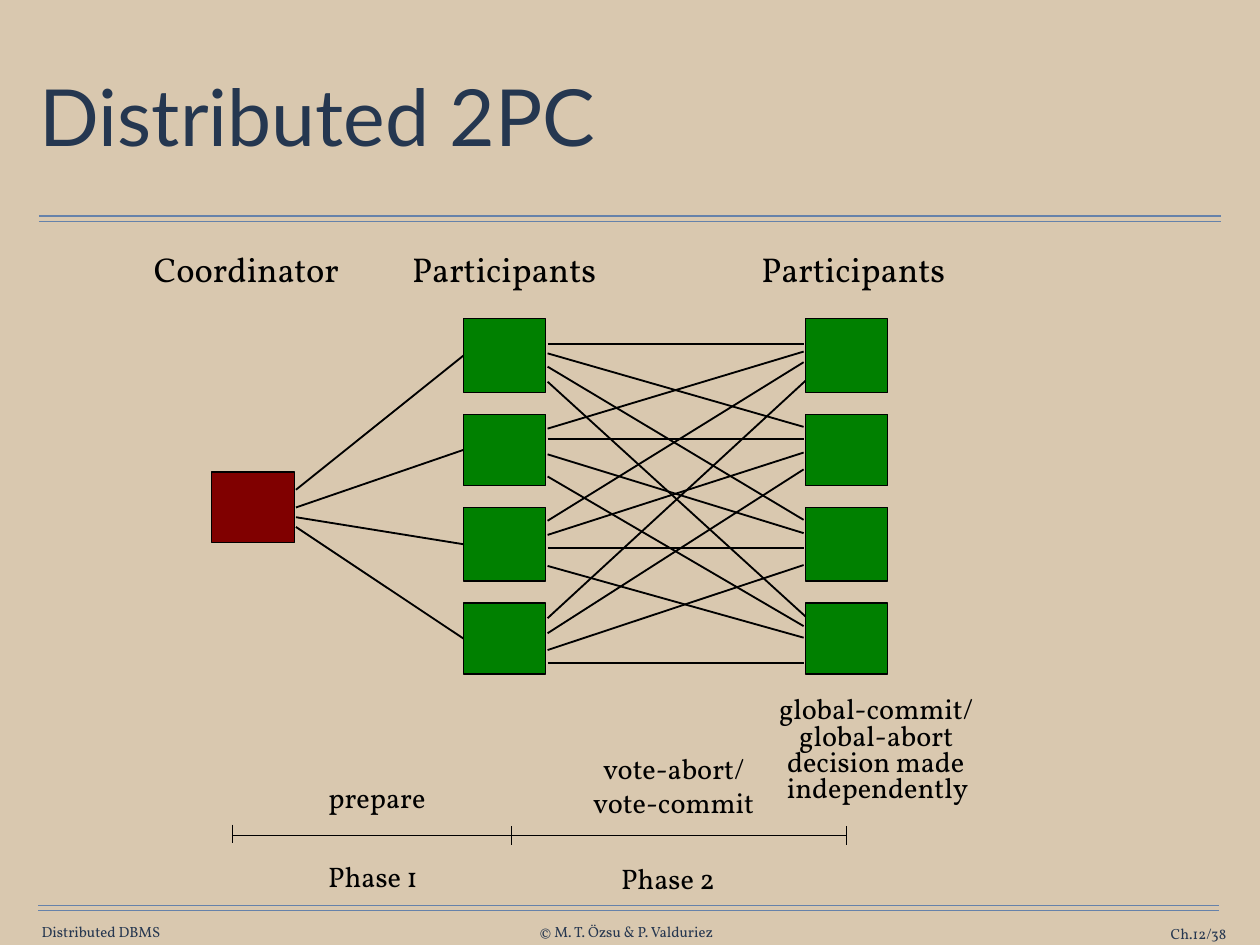
"""Build the Distributed 2PC slide on a grid of tenth-inch cells."""
from lxml import etree
from pptx import Presentation
from pptx.dml.color import RGBColor
from pptx.enum.shapes import MSO_CONNECTOR, MSO_SHAPE
from pptx.enum.text import MSO_ANCHOR, MSO_AUTO_SIZE, PP_ALIGN
from pptx.oxml.ns import qn
from pptx.util import Inches, Pt

STRAIGHT, RECTANGLE = MSO_CONNECTOR.STRAIGHT, MSO_SHAPE.RECTANGLE
TOP, MIDDLE = MSO_ANCHOR.TOP, MSO_ANCHOR.MIDDLE
LEFT, CENTER, RIGHT = PP_ALIGN.LEFT, PP_ALIGN.CENTER, PP_ALIGN.RIGHT
FIXED, GROW = MSO_AUTO_SIZE.NONE, MSO_AUTO_SIZE.SHAPE_TO_FIT_TEXT

CELL = Inches(0.1)
COLUMNS, ROWS = 142.2, 106.7
BLACK, NAVY, RULE_BLUE = "000000", "263750", "6682AA"
SAND, RED, GREEN = "D9C8AF", "800000", "008000"
color = RGBColor.from_string

presentation = Presentation()
presentation.slide_width = round(COLUMNS * CELL)
presentation.slide_height = round(ROWS * CELL)
slide = presentation.slides.add_slide(presentation.slide_layouts[5])
slide.background.fill.solid()
slide.background.fill.fore_color.rgb = color(SAND)


def add_line(start, end, line_color=BLACK, width=1.5):
    points = [round(cells * CELL) for cells in (*start, *end)]
    connector = slide.shapes.add_connector(STRAIGHT, *points)
    connector.line.color.rgb = color(line_color)
    connector.line.width = Pt(width)
    etree.SubElement(connector._element.spPr, qn("a:effectLst"))
    return connector


def write_text(shape, text, size, font="Vollkorn", text_color=BLACK, align=CENTER,
               anchor=TOP, insets=(1.4, 0.7), wrap=False, fit=GROW):
    frame = shape.text_frame
    frame.word_wrap, frame.auto_size, frame.vertical_anchor = wrap, fit, anchor
    frame.margin_left = frame.margin_right = round(insets[0] * CELL)
    frame.margin_top = frame.margin_bottom = round(insets[1] * CELL)
    for index, line in enumerate(text.split("\n")):
        paragraph = frame.add_paragraph() if index else frame.paragraphs[0]
        paragraph.alignment = align
        run = paragraph.add_run()
        run.text = line
        run.font.name, run.font.size = font, Pt(size)
        run.font.color.rgb = color(text_color)


for left, right, row in [(4.4, 137.8, 24.4), (4.3, 137.6, 102.2)]:
    for offset in (0, 0.6):
        add_line((left, row + offset), (right, row + offset), RULE_BLUE, 1)

title = slide.shapes.title
title.left, title.top, title.width, title.height = [
    round(cells * CELL) for cells in (3.9, 4.9, 134.4, 17.6)]
write_text(title, "Distributed 2PC", 64, "Lato", "253750", LEFT, MIDDLE,
           (0.6, 0.6), True, FIXED)
title.text_frame.paragraphs[0].line_spacing = 0.9

footers = [
    ("Distributed DBMS", 4.5, 104.2, 13.8, CENTER, False),
    ("© M. T. Özsu & P. Valduriez", 60.3, 104.2, 20.8, CENTER, False),
    ("Ch.12/38", 123, 104.4, 15.4, RIGHT, True),
]
for text, left, top, width, align, wrap in footers:
    box = [round(cells * CELL) for cells in (left, top, width, 2)]
    write_text(slide.shapes.add_textbox(*box), text, 12, text_color=NAVY,
               align=align, anchor=MIDDLE, insets=(0, 0), wrap=wrap)

labels = [
    ("Coordinator", 28, 15.7, 27.3, 24.2, 6.1),
    ("Participants", 28, 45.1, 27.3, 23.6, 6.1),
    ("Participants", 28, 84.5, 27.3, 23.6, 6.1),
    ("prepare", 23, 35.6, 87.4, 13.9, 5.3),
    ("vote-abort/\nvote-commit", 23, 65.5, 84.1, 21.1, 9.1),
    ("global-commit/", 23, 86.1, 77.4, 25.6, 5.3),
    ("global-abort", 23, 86.4, 80.4, 25, 5.3),
    ("decision made", 23, 87.1, 83.3, 23.5, 5.3),
    ("independently", 23, 87.2, 86.3, 23.7, 5.3),
    ("Phase 1", 23, 35.3, 96.3, 13.6, 5.3),
    ("Phase 2", 23, 68.6, 96.6, 13.6, 5.3),
]
for text, size, *place in labels:
    box = [round(cells * CELL) for cells in place]
    write_text(slide.shapes.add_textbox(*box), text, size)

SITE_WIDTH = 9.3
VOTERS, DECIDERS = 52.3, 90.9
site_rows = [(36, 8.3), (46.8, 8), (57.3, 8.3), (68.1, 8)]
sites = [(23.9, 53.3, 8, RED)]
sites += [(left, top, height, GREEN)
          for left in (VOTERS, DECIDERS) for top, height in site_rows]
site_shapes = []
for left, top, height, fill in sites:
    box = [round(cells * CELL) for cells in (left, top, SITE_WIDTH, height)]
    site = slide.shapes.add_shape(RECTANGLE, *box)
    site.shadow.inherit = False
    site.fill.solid()
    site.fill.fore_color.rgb = color(fill)
    site.line.color.rgb = color(BLACK)
    site.line.width = Pt(1)
    site_shapes.append(site)

prepare_rows = [55.3, 57.3, 58.4, 59.5]
for start_row, voter, (top, height) in zip(prepare_rows, site_shapes[1:5], site_rows):
    message = add_line((33.4, start_row), (VOTERS, top + height / 2))
    message.end_connect(voter, 1)

vote_starts = [
    [38.8, 39.9, 41.4, 43.1],
    [48.4, 49.6, 51.3, 53.8],
    [58.8, 60.4, 61.9, 63.9],
    [69.8, 71.5, 73.4, 74.9],
]
vote_ends = [
    [38.8, 48.2, 58.7, 69.6],
    [39.7, 49.6, 60.2, 70.7],
    [40.9, 51.1, 61.9, 72],
    [43, 53, 63.8, 74.9],
]
for voter, (starts, ends) in enumerate(zip(vote_starts, vote_ends)):
    for decider, (start_row, end_row) in enumerate(zip(starts, ends)):
        end_column = DECIDERS if abs(voter - decider) == 3 else 90.7
        add_line((61.8, start_row), (end_column, end_row))

AXIS_ROW, TICK = 94.3, 2.1
add_line((26.2, AXIS_ROW), (95.5, AXIS_ROW), width=1)
for column, top in [(26.2, 93.1), (57.7, 93.3), (95.5, 93.3)]:
    add_line((column, top), (column, top + TICK), width=1)

presentation.save("out.pptx")
